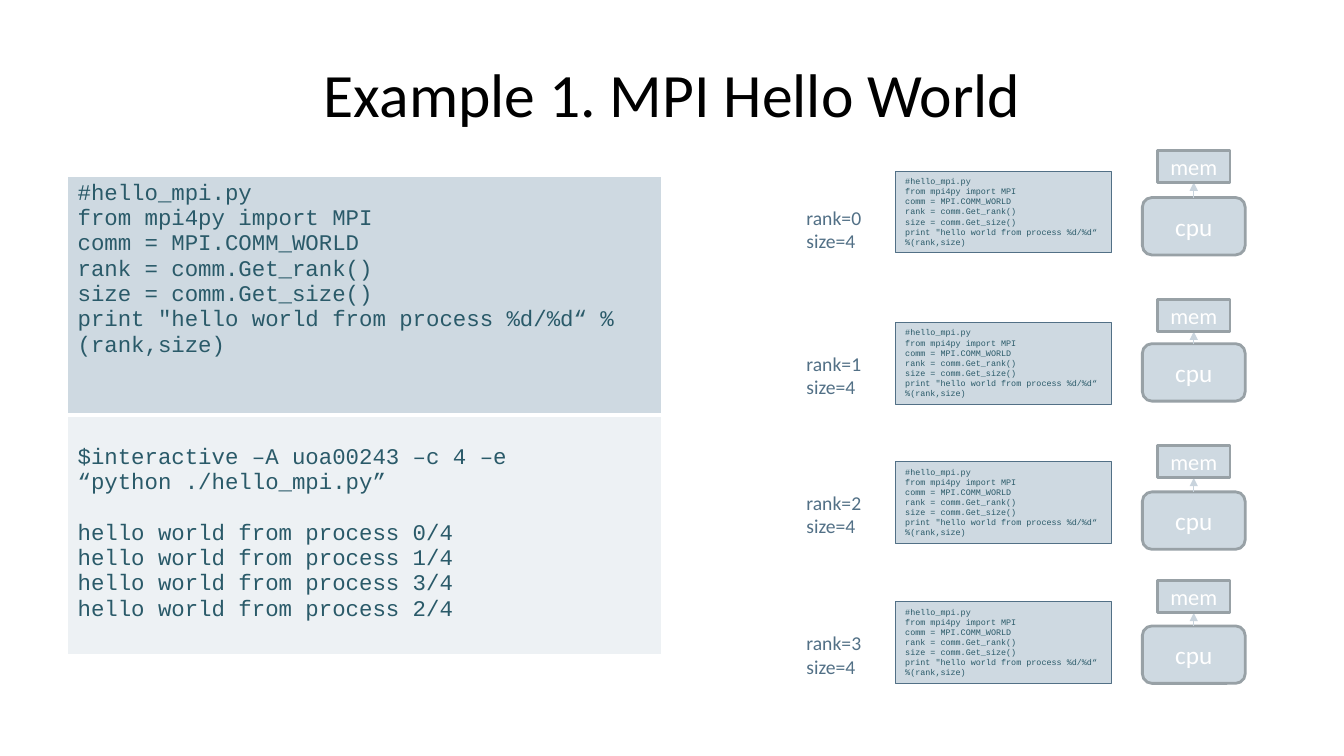
from lxml import etree
from pptx import Presentation
from pptx.dml.color import RGBColor
from pptx.enum.shapes import MSO_CONNECTOR, MSO_SHAPE
from pptx.enum.text import MSO_ANCHOR, MSO_AUTO_SIZE, PP_ALIGN
from pptx.oxml.ns import qn
from pptx.util import Emu, Pt

PX = 9144  # 100 px to the inch
RECT, ROUND = MSO_SHAPE.RECTANGLE, MSO_SHAPE.ROUNDED_RECTANGLE
STRAIGHT = MSO_CONNECTOR.STRAIGHT
LEFT, CENTER = PP_ALIGN.LEFT, PP_ALIGN.CENTER
TOP, MIDDLE = MSO_ANCHOR.TOP, MSO_ANCHOR.MIDDLE
FIT = MSO_AUTO_SIZE.SHAPE_TO_FIT_TEXT

SANS, MONO = "Calibri", "Courier New"
WHITE, BLACK = "FFFFFF", "000000"
PANEL, PALE, TEAL = "CED9E1", "EDF1F4", "2A5A69"
SLATE, GREY, ARROW = "527086", "98A1A6", "C9D4DD"

CODE = [
    "#hello_mpi.py",
    "from mpi4py import MPI",
    "comm = MPI.COMM_WORLD",
    "rank = comm.Get_rank()",
    "size = comm.Get_size()",
    'print "hello world from process %d/%d“ %(rank,size)',
]
COMMAND = "$interactive –A uoa00243 –c 4 –e “python ./hello_mpi.py”"
OUTPUT = [f"hello world from process {n}/4" for n in (0, 1, 3, 2)]

# Tops of the mem box, cpu box, code box and label of each process
PROCESSES = [
    (149, 196, 170, 199),
    (297, 341, 320, 344),
    (442, 488, 458, 482),
    (576, 621, 597, 621),
]


def px(n):
    return Emu(n * PX)


def rgb(color):
    return RGBColor.from_string(color)


def fill_text(tf, lines, size, font, color, align=LEFT):
    for i, line in enumerate(lines):
        p = tf.paragraphs[0] if i == 0 else tf.add_paragraph()
        p.alignment = align
        r = p.add_run()
        r.text = line
        r.font.size = Pt(size)
        r.font.name = font
        r.font.bold = False
        r.font.color.rgb = rgb(color)


def add_label(s, x, y, w, h, lines, size, color, align=LEFT, anchor=TOP):
    tf = s.shapes.add_textbox(px(x), px(y), px(w), px(h)).text_frame
    tf.word_wrap = True
    tf.vertical_anchor = anchor
    fill_text(tf, lines, size, SANS, color, align)


def add_box(s, kind, x, y, w, h, line, width):
    sp = s.shapes.add_shape(kind, px(x), px(y), px(w), px(h))
    sp.shadow.inherit = False
    sp.fill.solid()
    sp.fill.fore_color.rgb = rgb(PANEL)
    sp.line.color.rgb = rgb(line)
    sp.line.width = Pt(width)
    sp.text_frame.word_wrap = True
    return sp.text_frame


def add_unit(s, kind, x, y, w, h, name, size):
    tf = add_box(s, kind, x, y, w, h, GREY, 2)
    tf.vertical_anchor = MIDDLE
    fill_text(tf, [name], size, SANS, WHITE, CENTER)


def add_code_box(s, x, y, w, h):
    tf = add_box(s, RECT, x, y, w, h, SLATE, 0.75)
    tf.vertical_anchor = TOP
    tf.auto_size = FIT
    fill_text(tf, CODE, 6, MONO, TEAL)


def add_arrow(s, x, y1, y2):
    c = s.shapes.add_connector(STRAIGHT, px(x), px(y1), px(x), px(y2))
    c.line.color.rgb = rgb(ARROW)
    c.line.width = Pt(0.75)
    ln = c.line._get_or_add_ln()
    etree.SubElement(ln, qn("a:tailEnd"), type="triangle")
    etree.SubElement(c._element.spPr, qn("a:effectLst"))


def set_border(cell, side, color, width):
    ln = etree.Element(qn(f"a:{side}"), w=str(Pt(width)))
    fill = etree.SubElement(ln, qn("a:solidFill"))
    etree.SubElement(fill, qn("a:srgbClr"), val=color)
    cell._tc.get_or_add_tcPr().insert(0, ln)


def add_listing(s, x, y, w, row_h):
    table = s.shapes.add_table(2, 1, px(x), px(y), px(w), px(2 * row_h)).table
    table.horz_banding = False
    rows = [(CODE, PANEL), ([COMMAND] + OUTPUT, PALE)]
    for i, (lines, color) in enumerate(rows):
        table.rows[i].height = px(row_h)
        cell = table.cell(i, 0)
        cell.fill.solid()
        cell.fill.fore_color.rgb = rgb(color)
        fill_text(cell.text_frame, lines, 16, MONO, TEAL)
    source, session = table.cell(0, 0), table.cell(1, 0)
    set_border(source, "lnB", WHITE, 3)
    set_border(session, "lnT", WHITE, 3)
    # One line of space above the command and below it
    session.margin_top = px(30)
    session.text_frame.paragraphs[0].space_after = Pt(18)


def add_process(s, rank, mem_y, cpu_y, code_y, label_y):
    add_unit(s, ROUND, 1133, cpu_y, 102, 57, "cpu", 18)
    add_arrow(s, 1184, cpu_y, mem_y + 32)
    add_unit(s, RECT, 1148, mem_y, 72, 32, "mem", 16)
    add_code_box(s, 888, code_y, 214, 81)
    add_label(s, 790, label_y, 104, 57, [f"rank={rank}", "size=4"], 14, SLATE)


def main():
    prs = Presentation()
    prs.slide_width, prs.slide_height = px(1333), px(750)
    s = prs.slides.add_slide(prs.slide_layouts[6])

    # Title
    add_label(s, 67, 30, 1200, 125, ["Example 1. MPI Hello World"], 44, BLACK,
              CENTER, MIDDLE)

    # Program and its output
    add_listing(s, 67, 175, 589, 237)

    # One row for each process
    for rank, tops in enumerate(PROCESSES):
        add_process(s, rank, *tops)

    prs.save("out.pptx")


if __name__ == "__main__":
    main()
